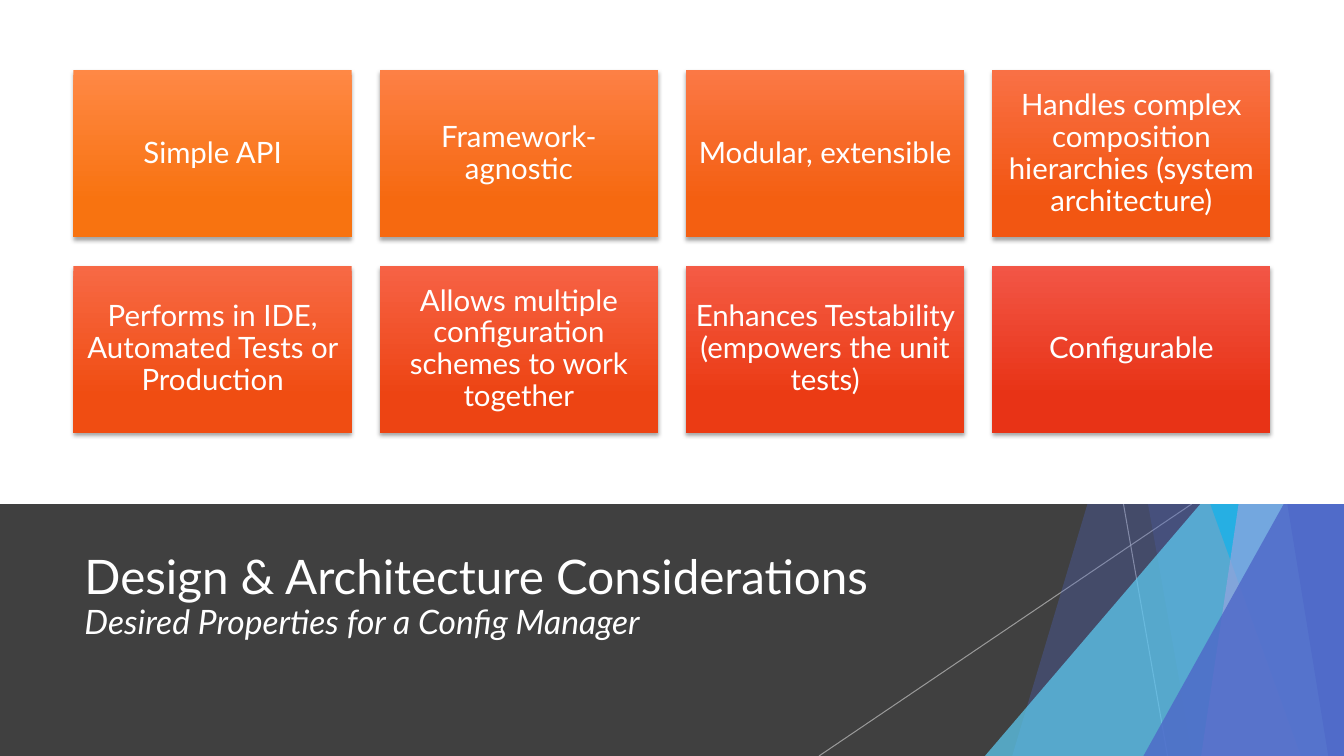
from lxml import etree
from pptx import Presentation
from pptx import util as u
from pptx.dml.color import RGBColor
from pptx.enum import shapes, text
from pptx.oxml.ns import qn

PX = 9525  # EMU per px, 96 px to the inch
WIDTH, HEIGHT = 1280, 720
SPLIT = 480  # where the white panel meets the dark band

FONT = "Lato"
WHITE = RGBColor(0xFF, 0xFF, 0xFF)
BLACK = RGBColor(0x00, 0x00, 0x00)
CHARCOAL = RGBColor(0x40, 0x40, 0x40)
SILVER = RGBColor(0xBF, 0xBF, 0xBF)
INDIGO = RGBColor(0x4E, 0x67, 0xC8)
LAVENDER = RGBColor(0x95, 0xA4, 0xDE)
SKY = RGBColor(0x5E, 0xCC, 0xF3)
CYAN = RGBColor(0x12, 0xB2, 0xEB)

TITLE = "Design & Architecture Considerations"
SUBTITLE = "Desired Properties for a Config Manager"
TITLE_BOX = (71, 500, 902, 138)

# wording, gradient start, gradient end
CARDS = [
    ("Simple API", RGBColor(0xFF, 0x88, 0x45), RGBColor(0xF8, 0x73, 0x10)),
    ("Framework-agnostic", RGBColor(0xFD, 0x80, 0x45), RGBColor(0xF6, 0x69, 0x10)),
    ("Modular, extensible", RGBColor(0xFB, 0x78, 0x45), RGBColor(0xF4, 0x5F, 0x11)),
    ("Handles complex composition hierarchies (system architecture)",
     RGBColor(0xF9, 0x70, 0x45), RGBColor(0xF2, 0x56, 0x12)),
    ("Performs in IDE, Automated Tests or Production",
     RGBColor(0xF7, 0x69, 0x45), RGBColor(0xF0, 0x4D, 0x12)),
    ("Allows multiple configuration schemes to work together",
     RGBColor(0xF6, 0x62, 0x45), RGBColor(0xED, 0x44, 0x13)),
    ("Enhances Testability (empowers the unit tests)",
     RGBColor(0xF4, 0x5B, 0x45), RGBColor(0xEB, 0x3B, 0x14)),
    ("Configurable", RGBColor(0xF2, 0x56, 0x46), RGBColor(0xE8, 0x33, 0x16)),
]
COLUMNS = 4
CARD_LEFT, CARD_RIGHT, CARD_TOP = 70, 1210, 67
CARD_WIDTH, CARD_HEIGHT, ROW_PITCH = 265, 159, 186
CARD_INSET = u.Pt(6.3)

# each facet reaches the right and bottom edges: top x, top y, bottom x, colour, opacity %
FACETS = [
    (1179, 0, 964, INDIGO, 30),
    (1008, 0, 1136, INDIGO, 20),
    (1280, 320, 938, SKY, 72),
    (980, 0, 1239, CYAN, 70),
    (1251, 0, 1144, LAVENDER, 70),
    (1148, 0, 1265, INDIGO, 65),
    (1280, 377, 1089, INDIGO, 80),
]
# top x, bottom x
RAYS = [(1070, 1112), (1135, 780)]
RAY_OPACITY = 70


def emu(*lengths):
    return [round(length * PX) for length in lengths]


def set_opacity(shape, percent):
    for color in shape._element.spPr.iter(qn("a:srgbClr")):
        etree.SubElement(color, qn("a:alpha"), val=str(percent * 1000))


def add_plain(slide, kind, box):
    shape = slide.shapes.add_shape(kind, *emu(*box))
    shape.shadow.inherit = False
    shape.line.fill.background()
    return shape


def add_panel(slide, top, height, color):
    panel = add_plain(slide, shapes.MSO_SHAPE.RECTANGLE, (0, top, WIDTH, height))
    panel.fill.solid()
    panel.fill.fore_color.rgb = color


def add_ray(slide, top_x, bottom_x):
    ray = slide.shapes.add_connector(
        shapes.MSO_CONNECTOR.STRAIGHT, *emu(top_x, SPLIT, bottom_x, HEIGHT))
    ray.line.color.rgb = SILVER
    ray.line.width = u.Pt(0.75)
    set_opacity(ray, RAY_OPACITY)
    etree.SubElement(ray._element.spPr, qn("a:effectLst"))


def add_facet(slide, top_x, top_y, bottom_x, color, opacity):
    if top_x == WIDTH:
        box = (bottom_x, top_y, WIDTH - bottom_x, HEIGHT - top_y)
        facet = add_plain(slide, shapes.MSO_SHAPE.ISOSCELES_TRIANGLE, box)
        facet.adjustments[0] = 1
    else:
        builder = slide.shapes.build_freeform(top_x, top_y, scale=PX)
        builder.add_line_segments([(WIDTH, top_y), (WIDTH, HEIGHT), (bottom_x, HEIGHT)])
        facet = builder.convert_to_shape()
        facet.shadow.inherit = False
        facet.line.fill.background()
    facet.fill.solid()
    facet.fill.fore_color.rgb = color
    set_opacity(facet, opacity)


def add_run(paragraph, words, size, italic=None):
    run = paragraph.add_run()
    run.text = words
    run.font.name = FONT
    run.font.size = u.Pt(size)
    run.font.italic = italic
    run.font.color.rgb = WHITE


def first_paragraph(shape):
    """Sets up wrapped, vertically centred text and returns its paragraph."""
    frame = shape.text_frame
    frame.word_wrap = True
    frame.vertical_anchor = text.MSO_ANCHOR.MIDDLE
    paragraph = frame.paragraphs[0]
    paragraph.line_spacing = 0.9
    return paragraph


def add_title(slide):
    paragraph = first_paragraph(slide.shapes.add_textbox(*emu(*TITLE_BOX)))
    add_run(paragraph, TITLE, 34)
    paragraph.add_line_break()
    add_run(paragraph, SUBTITLE, 24, italic=True)


def add_drop_shadow(shape):
    effects = shape._element.spPr.find(qn("a:effectLst"))
    shadow = etree.SubElement(
        effects, qn("a:outerShdw"), blurRad=str(u.Pt(3)), dist=str(u.Pt(2)),
        dir="5400000", rotWithShape="0")
    color = etree.SubElement(shadow, qn("a:srgbClr"), val=str(BLACK))
    etree.SubElement(color, qn("a:alpha"), val="35000")


def add_card(slide, index, words, start, end):
    row, column = divmod(index, COLUMNS)
    column_pitch = (CARD_RIGHT - CARD_LEFT - CARD_WIDTH) / (COLUMNS - 1)
    box = (CARD_LEFT + column * column_pitch, CARD_TOP + row * ROW_PITCH,
           CARD_WIDTH, CARD_HEIGHT)
    card = add_plain(slide, shapes.MSO_SHAPE.RECTANGLE, box)
    card.fill.gradient()
    card.fill.gradient_angle = 270
    for stop, color, position in zip(card.fill.gradient_stops, (start, end), (0, 0.78)):
        stop.color.rgb = color
        stop.position = position
    add_drop_shadow(card)

    frame = card.text_frame
    frame.margin_left = frame.margin_right = CARD_INSET
    frame.margin_top = frame.margin_bottom = CARD_INSET
    paragraph = first_paragraph(card)
    paragraph.alignment = text.PP_ALIGN.CENTER
    add_run(paragraph, words, 21)


def main():
    presentation = Presentation()
    presentation.slide_width, presentation.slide_height = emu(WIDTH, HEIGHT)
    slide = presentation.slides.add_slide(presentation.slide_layouts[6])

    add_panel(slide, SPLIT, HEIGHT - SPLIT, CHARCOAL)
    for ray in RAYS:
        add_ray(slide, *ray)
    for facet in FACETS:
        add_facet(slide, *facet)
    add_title(slide)
    add_panel(slide, 0, SPLIT, WHITE)
    for index, card in enumerate(CARDS):
        add_card(slide, index, *card)

    presentation.save("out.pptx")


if __name__ == "__main__":
    main()
